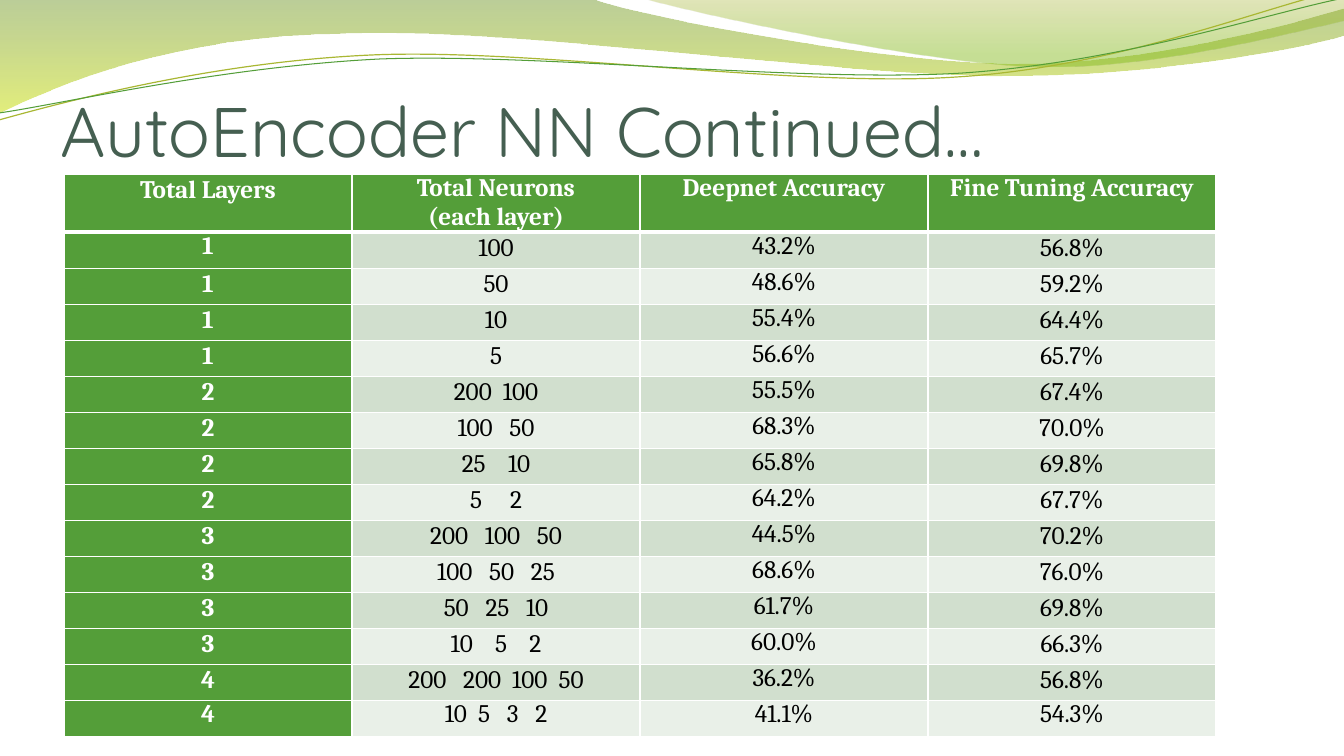
from lxml import etree
from pptx import Presentation, util as u
from pptx.dml.color import RGBColor
from pptx.enum import text
from pptx.oxml.ns import qn

PX = u.Inches(1) / 100.8
COLORS = {
    "white": "FFFFFF", "black": "000000", "title": "455F51", "green": "549E39",
    "olive": "A9B733", "band_dark": "D1DFCE", "band_light": "E9F0E8",
    "wave_top": "69921C", "wave_bottom": "CCE10F",
    "crest_top": "9BAA1A", "crest_bottom": "81BA16",
}
HEADERS = ["Total Layers", "Total Neurons\n(each layer)", "Deepnet Accuracy",
           "Fine Tuning Accuracy"]
# Layers, neurons in each layer, gaps between them in space widths, accuracies
RESULTS = [
    (1, "100", (), "43.2%", "56.8%"),
    (1, "50", (), "48.6%", "59.2%"),
    (1, "10", (), "55.4%", "64.4%"),
    (1, "5", (), "56.6%", "65.7%"),
    (2, "200 100", (2,), "55.5%", "67.4%"),
    (2, "100 50", (3,), "68.3%", "70.0%"),
    (2, "25 10", (4,), "65.8%", "69.8%"),
    (2, "5 2", (5,), "64.2%", "67.7%"),
    (3, "200 100 50", (3, 3), "44.5%", "70.2%"),
    (3, "100 50 25", (3, 3), "68.6%", "76.0%"),
    (3, "50 25 10", (3, 3), "61.7%", "69.8%"),
    (3, "10 5 2", (4, 4), "60.0%", "66.3%"),
    (4, "200 200 100 50", (3, 2, 2), "36.2%", "56.8%"),
    (4, "10 5 3 2", (2, 3, 3), "41.1%", "54.3%"),
]
# Each step holds one point for a line, or three points for a cubic curve.
WAVE = [(0, 0), (592, -1), (639, 17, 891, 64, 1019, 64),
        (1146, 64, 1287, 26, 1344, 9), (1345, 36),
        (1321, 44, 1168, 77, 1002, 76), (835, 76, 513, 28, 346, 34),
        (173, 36, 61, 84, -2, 114)]
CREST = [(643, -1), (684, 11, 916, 62, 1033, 66),
         (1149, 70, 1292, 32, 1344, 21), (1344, 0)]
OLIVE_LINE = [(-1, 120), (64, 102, 212, 62, 372, 55),
              (530, 48, 795, 88, 957, 77), (1119, 67, 1261, 8, 1341, -10)]
GREEN_LINE = [(-1, 113), (62, 104, 220, 67, 380, 59),
              (541, 53, 802, 83, 963, 73), (1123, 62, 1265, 14, 1344, -2)]


def px(n):
    return u.Emu(round(n * PX))


def rgb(name):
    return RGBColor.from_string(COLORS[name])


def add_outline(s, box, steps, close):
    """Draw the steps as a freeform, bending each three-point step."""
    ends = [step[-2:] for step in steps]
    left, top = (min(axis) for axis in zip(*ends))
    builder = s.shapes.build_freeform(*ends[0], scale=PX)
    builder.add_line_segments(ends[1:], close=close)
    sp = builder.convert_to_shape(px(box[0]), px(box[1]))
    sp.shadow.inherit = False
    segments = list(sp._element.iter(qn("a:lnTo")))
    for segment, step in zip(segments, steps[1:]):
        if len(step) == 6:
            curve = etree.Element(qn("a:cubicBezTo"))
            for x, y in zip(step[::2], step[1::2]):
                etree.SubElement(curve, qn("a:pt"), x=str(x - left), y=str(y - top))
            segment.getparent().replace(segment, curve)
    return sp


def add_wave(s, box, steps, stops):
    """Add a filled wave; stops are (position, colour, opacity in percent)."""
    sp = add_outline(s, box, steps, True)
    sp.line.fill.background()
    sp.fill.gradient()
    sp.fill.gradient_angle = 270
    for stop, (position, color, _) in zip(sp.fill.gradient_stops, stops):
        stop.position = position
        stop.color.rgb = rgb(color)
    shades = sp._element.spPr.findall(".//" + qn("a:srgbClr"))
    for shade, (_, _, opacity) in zip(shades, stops):
        etree.SubElement(shade, qn("a:alpha"), val=str(opacity * 1000))


def add_curve(s, box, steps, color, width):
    sp = add_outline(s, box, steps, False)
    sp.fill.background()
    sp.line.color.rgb = rgb(color)
    sp.line.width = u.Pt(width)


def add_banner(s, box):
    add_wave(s, box, WAVE, [(0, "wave_top", 45), (1, "wave_bottom", 55)])
    add_wave(s, box, CREST, [(0, "crest_top", 30), (0.8, "crest_bottom", 45)])
    add_curve(s, box, OLIVE_LINE, "olive", 0.85)
    add_curve(s, box, GREEN_LINE, "green", 0.75)


def place_title(s, box, words):
    title = s.shapes.title
    title.left, title.top, title.width, title.height = map(px, box)
    s.shapes._spTree.append(title._element)
    tf = title.text_frame
    tf.text = words
    tf.auto_size = text.MSO_AUTO_SIZE.NONE
    tf.vertical_anchor = text.MSO_ANCHOR.BOTTOM
    tf.margin_left = tf.margin_right = tf.margin_bottom = 0
    tf.margin_top = px(5)
    p = tf.paragraphs[0]
    p.alignment = text.PP_ALIGN.LEFT
    font = p.runs[0].font
    font.name, font.size = "Quicksand", u.Pt(50)
    font.color.rgb = rgb("title")


def add_borders(cell, bottom):
    tc_pr = cell._tc.get_or_add_tcPr()
    for side, width in (("L", 1), ("R", 1), ("T", 1), ("B", bottom)):
        ln = etree.SubElement(tc_pr, qn("a:ln" + side), w=str(u.Pt(width)))
        fill = etree.SubElement(ln, qn("a:solidFill"))
        etree.SubElement(fill, qn("a:srgbClr"), val=COLORS["white"])


def write_neurons(p, neurons, gaps):
    """Write the numbers, each space widened to its gap."""
    first, *rest = neurons.split()
    p.add_run().text = first
    for number, gap in zip(rest, gaps):
        space = p.add_run()
        space.text = " "
        space.font._element.set("spc", str((gap - 1) * 400))
        p.add_run().text = number


def format_cell(cell, fill, strong, loose, bottom=1):
    cell.margin_left = cell.margin_right = px(7)
    cell.margin_top = cell.margin_bottom = 0
    add_borders(cell, bottom)
    cell.fill.solid()
    cell.fill.fore_color.rgb = rgb(fill)
    for p in cell.text_frame.paragraphs:
        p.alignment = text.PP_ALIGN.CENTER
        if loose:
            p.line_spacing = 1.07
        for r in p.runs:
            r.font.name, r.font.size, r.font.bold = "Cambria", u.Pt(18), strong
            r.font.color.rgb = rgb("white" if strong else "black")


def add_results(s, box):
    last = len(RESULTS)
    table = s.shapes.add_table(last + 1, len(HEADERS), *map(px, box)).table
    for column in table.columns:
        column.width = px(box[2] // len(HEADERS))
    for row in table.rows:
        row.height = px(box[3] // (last + 1))
    for c, header in enumerate(HEADERS):
        cell = table.cell(0, c)
        cell.text = header
        format_cell(cell, "green", True, c == 0, bottom=3)
    for i, (layers, neurons, gaps, deepnet, tuned) in enumerate(RESULTS, 1):
        band = "band_dark" if i % 2 else "band_light"
        for c, value in enumerate((str(layers), neurons, deepnet, tuned)):
            cell = table.cell(i, c)
            if c == 1:
                write_neurons(cell.text_frame.paragraphs[0], neurons, gaps)
            else:
                cell.text = value
            loose = i < last and c != 2 and (i, c) != (1, 0)
            format_cell(cell, band if c else "green", c == 0, loose)


def main():
    prs = Presentation()
    prs.slide_width, prs.slide_height = px(1344), px(756)
    s = prs.slides.add_slide(prs.slide_layouts[5])
    add_banner(s, (0, 0))
    add_results(s, (64, 174, 1152, 540))
    place_title(s, (61, 46, 1210, 126), "AutoEncoder NN Continued…")
    prs.save("out.pptx")


if __name__ == "__main__":
    main()
